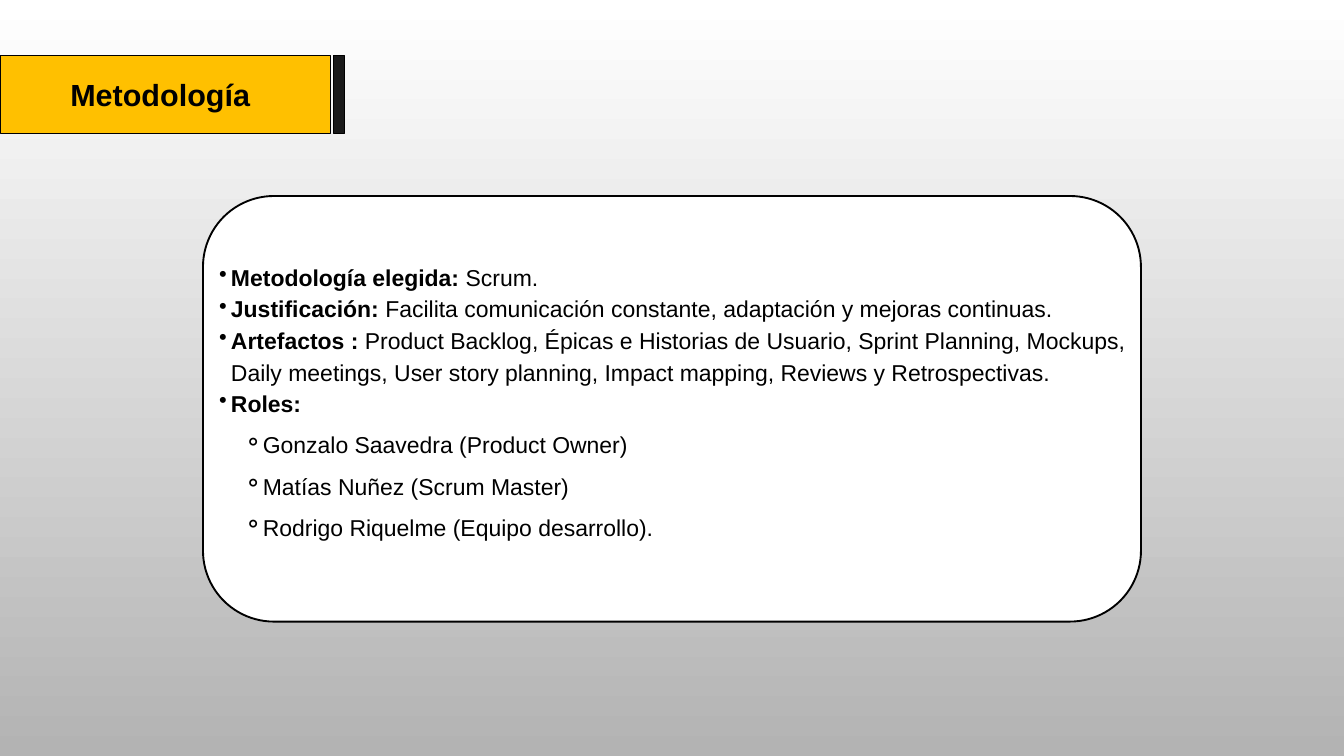
from lxml.etree import SubElement
from pptx import Presentation
from pptx.dml.color import RGBColor
from pptx.enum.shapes import MSO_SHAPE as SHAPE
from pptx.enum.text import MSO_ANCHOR as ANCHOR, PP_ALIGN as ALIGN
from pptx.oxml.ns import qn
from pptx.util import Pt

PX = 9525  # EMU per px, 96 px to the inch


def color(hex_code):
    return RGBColor.from_string(hex_code)


def style(shape, fill, line_width):
    """Give a shape a solid fill and a black outline."""
    shape.fill.solid()
    shape.fill.fore_color.rgb = color(fill)
    shape.line.color.rgb = color("000000")
    shape.line.width = Pt(line_width)


prs = Presentation()
prs.slide_width, prs.slide_height = 1920 * PX, 1080 * PX
slide = prs.slides.add_slide(prs.slide_layouts[5])

background = slide.background.fill
background.gradient()
background.gradient_angle = 270
for stop, shade in zip(background.gradient_stops, ("FFFFFF", "B3B3B3")):
    stop.color.rgb = color(shade)

# Title bar with its dark end strip
title = slide.shapes.title
title.left, title.top, title.width, title.height = 0, 79 * PX, 472 * PX, 111 * PX
style(title, "FFC000", 1)
title_frame = title.text_frame
title_frame.text = "Metodología"
title_frame.vertical_anchor = ANCHOR.MIDDLE
title_frame.margin_left = title_frame.margin_top = title_frame.margin_bottom = 0
title_frame.margin_right = 14 * PX
heading = title_frame.paragraphs[0]
heading.alignment = ALIGN.CENTER
heading.line_spacing = Pt(39.3)
heading.font.name = "Arial"
heading.font.size = Pt(32.7)
heading.font.bold = True
heading.font.color.rgb = color("000000")

strip = slide.shapes.add_shape(SHAPE.RECTANGLE, 477 * PX, 79 * PX, 15 * PX, 111 * PX)
strip.shadow.inherit = False
style(strip, "1A1A1A", 1)

# Card and its list
card_area = [n * PX for n in (290, 280, 1340, 608)]
card = slide.shapes.add_shape(SHAPE.ROUNDED_RECTANGLE, *card_area)
card.shadow.inherit = False
style(card, "FFFFFF", 2)

details = slide.shapes.add_textbox(*card_area).text_frame
details.word_wrap = True
details.vertical_anchor = ANCHOR.MIDDLE
details.margin_left = details.margin_right = details.margin_top = 6 * PX
details.margin_bottom = 31 * PX

# Per level: left margin px, hanging indent px, line spacing pt, bullet
LEVELS = {1: (34, 17, 33.9, "•"), 2: (78, 26, 44.2, "⚬")}
items = [
    (1, "Metodología elegida:", " Scrum."),
    (1, "Justificación:", " Facilita comunicación constante, adaptación y mejoras continuas."),
    (1, "Artefactos : ", "Product Backlog, Épicas e Historias de Usuario, Sprint Planning, "
     "Mockups, Daily meetings, User story planning, Impact mapping, Reviews y Retrospectivas."),
    (1, "Roles:", ""),
    (2, "", "Gonzalo Saavedra (Product Owner)"),
    (2, "", "Matías Nuñez (Scrum Master)"),
    (2, "", "Rodrigo Riquelme (Equipo desarrollo)."),
]
for i, (level, label, detail) in enumerate(items):
    item = details.add_paragraph() if i else details.paragraphs[0]
    margin, hanging, spacing, bullet = LEVELS[level]
    item.level = level
    item.line_spacing = Pt(spacing)
    props = item._p.get_or_add_pPr()
    props.set("marL", str(margin * PX))
    props.set("indent", str(-hanging * PX))
    SubElement(props, qn("a:buChar"), char=bullet)
    item.font.name = "Arial"
    item.font.size = Pt(24.6)
    item.font.color.rgb = color("000000")
    for text, bold in ((label, True), (detail, False)):
        if text:
            run = item.add_run()
            run.text = text
            run.font.bold = bold

prs.save("out.pptx")
